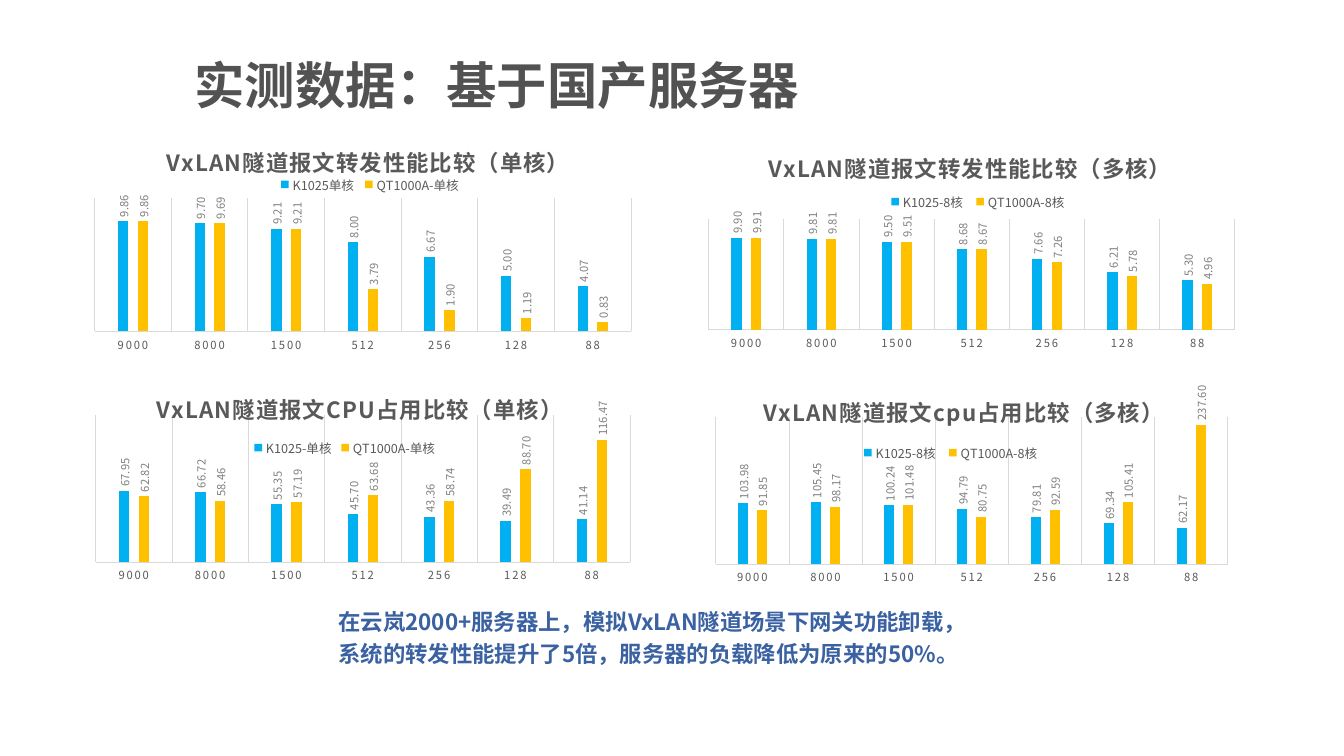
from lxml import etree
from pptx import Presentation
from pptx.chart.data import CategoryChartData
from pptx.dml.color import RGBColor
from pptx.enum.chart import XL_CHART_TYPE, XL_LABEL_POSITION, XL_LEGEND_POSITION, XL_TICK_MARK
from pptx.enum.text import MSO_ANCHOR, PP_ALIGN
from pptx.oxml.ns import qn
from pptx.util import Inches, Pt

FONT = "Noto Sans CJK SC"
BLACK = RGBColor(0x00, 0x00, 0x00)
TITLE_GREY = RGBColor(0x52, 0x52, 0x52)
TEXT_GREY = RGBColor(0x59, 0x59, 0x59)
LABEL_GREY = RGBColor(0x80, 0x80, 0x80)
GRID_GREY = RGBColor(0xD9, 0xD9, 0xD9)
CONCLUSION_BLUE = RGBColor(0x3A, 0x61, 0xA1)
SERIES_COLORS = (RGBColor(0x00, 0xB0, 0xF0), RGBColor(0xFF, 0xC0, 0x00))

PACKET_SIZES = ("9000", "8000", "1500", "512", "256", "128", "88")

# Boxes are left, top, width, height in slide inches; title and legend are left, top.
CHARTS = (
    dict(title="VxLAN隧道报文转发性能比较（单核）", box=(0.8, 1.32, 5.59, 2.23),
         title_at=(1.61, 1.38), legend_at=(2.72, 1.73), plot=(0.94, 1.96, 5.32, 1.33), maximum=12,
         series={"K1025单核": (9.86, 9.70, 9.21, 8.00, 6.67, 5.00, 4.07),
                 "QT1000A-单核": (9.86, 9.69, 9.21, 3.79, 1.90, 1.19, 0.83)}),
    dict(title="VxLAN隧道报文cpu占用比较（多核）", box=(6.49, 3.76, 5.78, 2.41),
         title_at=(7.53, 3.87), legend_at=(8.48, 4.39), plot=(7.1, 4.14, 5.08, 1.46), maximum=250,
         series={"K1025-8核": (103.98, 105.45, 100.24, 94.79, 79.81, 69.34, 62.17),
                 "QT1000A-8核": (91.85, 98.17, 101.48, 80.75, 92.59, 105.41, 237.60)}),
    dict(title="VxLAN隧道报文转发性能比较（多核）", box=(6.93, 1.28, 5.43, 2.23),
         title_at=(7.58, 1.44), legend_at=(8.75, 1.9), plot=(7.03, 2.17, 5.22, 1.1), maximum=12,
         series={"K1025-8核": (9.90, 9.81, 9.50, 8.68, 7.66, 6.21, 5.30),
                 "QT1000A-8核": (9.91, 9.81, 9.51, 8.67, 7.26, 5.78, 4.96)}),
    dict(title="VxLAN隧道报文CPU占用比较（单核）", box=(0.32, 3.72, 6.21, 2.41),
         title_at=(1.51, 3.84), legend_at=(2.47, 4.34), plot=(0.95, 4.12, 5.3, 1.46), maximum=140,
         series={"K1025-单核": (67.95, 66.72, 55.35, 45.70, 43.36, 39.49, 41.14),
                 "QT1000A-单核": (62.82, 58.46, 57.19, 63.68, 58.74, 88.70, 116.47)}),
)


def set_font(font, size, color, bold=False, spacing=None):
    font.size = Pt(size)
    font.bold = bold
    font.color.rgb = color
    font.name = FONT
    properties = font._rPr
    etree.SubElement(properties, qn("a:ea")).set("typeface", FONT)
    if spacing is not None:
        properties.set("spc", str(spacing))


def set_layout(parent, index, chart_box, box, inner=False):
    """Place a chart part, given in slide inches, by fractions of the chart."""
    for old_layout in parent.findall(qn("c:layout")):
        parent.remove(old_layout)
    layout = etree.Element(qn("c:layout"))
    manual = etree.SubElement(layout, qn("c:manualLayout"))
    left, top, width, height = chart_box
    settings = [("layoutTarget", "inner")] if inner else []
    settings += [("xMode", "edge"), ("yMode", "edge")]
    fractions = [(box[0] - left) / width, (box[1] - top) / height]
    if len(box) == 4:
        fractions += [box[2] / width, box[3] / height]
    settings += [(name, f"{value:.4f}") for name, value in zip("xywh", fractions)]
    for name, value in settings:
        etree.SubElement(manual, qn(f"c:{name}")).set("val", value)
    parent.insert(index, layout)


class SlideBuilder:
    def __init__(self, slide):
        self.slide = slide

    def text(self, box, lines, size, color, spacing, anchor=MSO_ANCHOR.TOP, align=PP_ALIGN.LEFT):
        frame = self.slide.shapes.add_textbox(*map(Inches, box)).text_frame
        frame.word_wrap = True
        frame.vertical_anchor = anchor
        frame.text = "\n".join(lines)
        for paragraph in frame.paragraphs:
            paragraph.alignment = align
            paragraph.line_spacing = spacing
            set_font(paragraph.font, size, color, bold=True)

    def column_chart(self, title, box, title_at, legend_at, plot, maximum, series):
        data = CategoryChartData(number_format="0.00")
        data.categories = PACKET_SIZES
        for name, values in series.items():
            data.add_series(name, values)
        chart = self.slide.shapes.add_chart(
            XL_CHART_TYPE.COLUMN_CLUSTERED, *map(Inches, box), data).chart
        set_font(chart.font, 10, BLACK)
        self.chart_title(chart, title)
        self.legend(chart)
        self.axes(chart, maximum)
        self.columns(chart.plots[0])
        set_layout(chart.chart_title._element, 1, box, title_at)
        set_layout(chart.legend._element, 1, box, (*legend_at, 1.9, 0.2))
        set_layout(chart._chartSpace.chart.plotArea, 0, box, plot, inner=True)

    def chart_title(self, chart, title):
        frame = chart.chart_title.text_frame
        frame.text = title
        set_font(frame.paragraphs[0].font, 16, TEXT_GREY, bold=True, spacing=100)

    def legend(self, chart):
        chart.has_legend = True
        chart.legend.position = XL_LEGEND_POSITION.TOP
        chart.legend.include_in_layout = False
        set_font(chart.legend.font, 9, TEXT_GREY)

    def axes(self, chart, maximum):
        category_axis = chart.category_axis
        category_axis.major_tick_mark = XL_TICK_MARK.NONE
        category_axis.has_major_gridlines = True
        for line in (category_axis.format.line, category_axis.major_gridlines.format.line):
            line.color.rgb = GRID_GREY
            line.width = Pt(0.75)
        set_font(category_axis.tick_labels.font, 8, TEXT_GREY, spacing=120)
        value_axis = chart.value_axis
        value_axis.has_major_gridlines = False
        value_axis.minimum_scale = 0
        value_axis.maximum_scale = maximum
        value_axis.visible = False

    def columns(self, plot):
        plot.gap_width = 444
        plot.overlap = -90
        plot.vary_by_categories = False
        for series, color in zip(plot.series, SERIES_COLORS):
            series.format.fill.solid()
            series.format.fill.fore_color.rgb = color
            labels = series.data_labels
            labels.show_value = True
            labels.position = XL_LABEL_POSITION.OUTSIDE_END
            labels.number_format = "0.00"
            labels.number_format_is_linked = False
            set_font(labels.font, 8, LABEL_GREY)
            body = labels._element.find(qn("c:txPr")).find(qn("a:bodyPr"))
            body.set("rot", "-5400000")
            body.set("vert", "horz")


def main():
    presentation = Presentation()
    presentation.slide_width = Inches(13.33)
    presentation.slide_height = Inches(7.5)
    builder = SlideBuilder(presentation.slides.add_slide(presentation.slide_layouts[6]))
    builder.text((1.83, 0.45, 9.57, 0.86), ["实测数据：基于国产服务器"],
                 36, TITLE_GREY, 0.9, anchor=MSO_ANCHOR.MIDDLE)
    builder.text((3.26, 5.93, 6.58, 0.72),
                 ["在云岚2000+服务器上，模拟VxLAN隧道场景下网关功能卸载，",
                  "系统的转发性能提升了5倍，服务器的负载降低为原来的50%。"],
                 16, CONCLUSION_BLUE, 1.2, align=PP_ALIGN.JUSTIFY)
    for chart in CHARTS:
        builder.column_chart(**chart)
    presentation.save("out.pptx")


if __name__ == "__main__":
    main()
